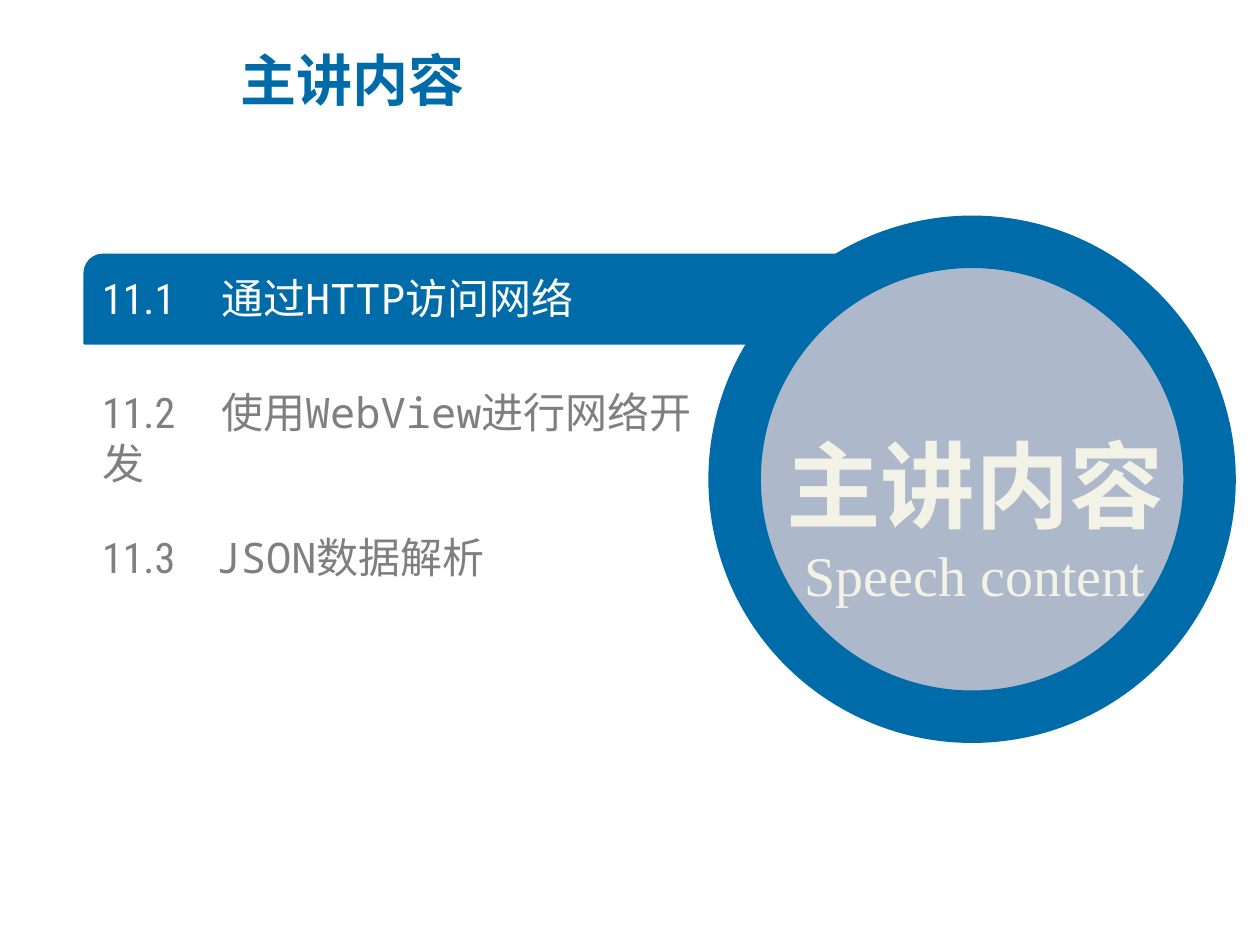
import pptx
import pptx.util
import pptx.dml.color
import pptx.enum.shapes
import pptx.enum.text
import lxml.etree

Pt = pptx.util.Pt
SHAPE = pptx.enum.shapes.MSO_SHAPE
ALIGN = pptx.enum.text.PP_ALIGN
COLORS = {"blue": "006BA9", "disc": "ADB9CA", "cream": "F2F2E6",
          "gray": "7F7F7F", "white": "FFFFFF"}
HEAD, BODY, CODE, SERIF = ("Noto Sans CJK SC", "Roboto Condensed",
                           "Noto Sans Mono", "Times New Roman")


def rgb(name):
    return pptx.dml.color.RGBColor.from_string(COLORS[name])


def add_run(p, text, font, size, color, bold=False):
    """Add a run whose font also applies to East Asian characters."""
    r = p.add_run()
    r.text = text
    r.font.name, r.font.size, r.font.bold = font, Pt(size), bold
    r.font.color.rgb = rgb(color)
    ea = r._r.get_or_add_rPr().makeelement(pptx.oxml.ns.qn("a:ea"), {"typeface": font})
    r.font._element.find(pptx.oxml.ns.qn("a:latin")).addnext(ea)


prs = pptx.Presentation()
prs.slide_width, prs.slide_height = Pt(720), Pt(540)
s = prs.slides.add_slide(prs.slide_layouts[5])

# Title
title = s.shapes.title
title.left, title.top, title.width, title.height = Pt(130.3), Pt(15.1), Pt(405.4), Pt(60.5)
tf = title.text_frame
tf.auto_size = pptx.enum.text.MSO_AUTO_SIZE.NONE
tf.vertical_anchor = pptx.enum.text.MSO_ANCHOR.MIDDLE
p = tf.paragraphs[0]
p.alignment = ALIGN.LEFT
add_run(p, "主讲内容", HEAD, 32, "blue", True)

# Bar behind the current chapter, then the disc over its right end
for kind, box, fill, line_width in [
    (SHAPE.ROUND_2_DIAG_RECTANGLE, (48.2, 145.4, 465.1, 51.1), "blue", 1),
    (SHAPE.OVAL, (419.8, 138.2, 271.4, 271.4), "disc", 30),
]:
    sp = s.shapes.add_shape(kind, *map(Pt, box))
    sp.shadow.inherit = False
    sp.fill.solid()
    sp.fill.fore_color.rgb = rgb(fill)
    sp.line.color.rgb = rgb("blue")
    sp.line.width = Pt(line_width)
    if kind == SHAPE.ROUND_2_DIAG_RECTANGLE:
        sp.adjustments[0], sp.adjustments[1] = 0.21, 0

# Chapter list: a tab separates the number from the name
chapters = [
    (155.5, 301.7, "white", 68, [("11.1\t通过", BODY), ("HTTP", CODE), ("访问网络", BODY)]),
    (235.4, 347, "gray", 68, [("11.2\t使用", BODY), ("WebView", CODE), ("进行网络开发", BODY)]),
    (303.8, 301.7, "gray", 65, [("11.3\t", BODY), ("JSON", CODE), ("数据解析", BODY)]),
]
for top, width, color, tab, runs in chapters:
    tf = s.shapes.add_textbox(Pt(58.3), Pt(top), Pt(width), Pt(28.8)).text_frame
    tf.word_wrap = True
    tf.vertical_anchor = pptx.enum.text.MSO_ANCHOR.MIDDLE
    tf.margin_left = tf.margin_top = tf.margin_right = tf.margin_bottom = 0
    p = tf.paragraphs[0]
    tabs = lxml.etree.SubElement(p._p.get_or_add_pPr(), pptx.oxml.ns.qn("a:tabLst"))
    lxml.etree.SubElement(tabs, pptx.oxml.ns.qn("a:tab"), pos=str(int(Pt(tab))), algn="l")
    for text, font in runs:
        add_run(p, text, font, 24, color)

# Disc caption
tf = s.shapes.add_textbox(Pt(416.9), Pt(207.4), Pt(280.8), Pt(144)).text_frame
tf.word_wrap = True
tf.vertical_anchor = pptx.enum.text.MSO_ANCHOR.MIDDLE
p = tf.paragraphs[0]
p.alignment = ALIGN.CENTER
p.line_spacing = 1.5
add_run(p, "主讲内容", HEAD, 54, "cream", True)
p = tf.add_paragraph()
p.alignment = ALIGN.CENTER
add_run(p, "Speech content", SERIF, 32, "cream")

prs.save("out.pptx")
